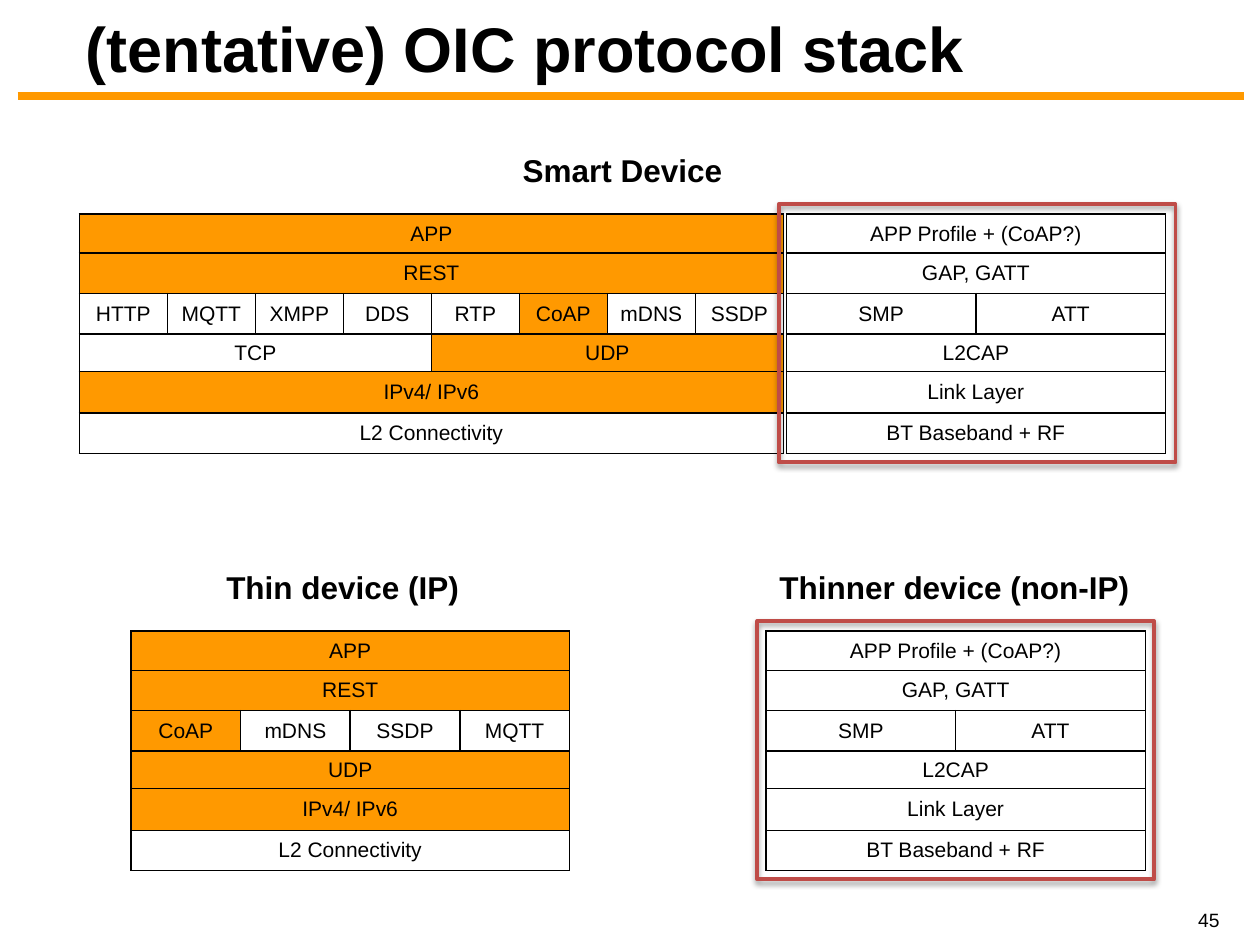
from lxml import etree
from pptx import Presentation
from pptx.dml.color import RGBColor
from pptx.enum.shapes import MSO_CONNECTOR, MSO_SHAPE
from pptx.enum.text import MSO_ANCHOR, MSO_AUTO_SIZE, PP_ALIGN
from pptx.oxml import parse_xml
from pptx.oxml.ns import nsdecls, qn
from pptx.util import Inches, Pt

BLACK = RGBColor(0x00, 0x00, 0x00)
WHITE = RGBColor(0xFF, 0xFF, 0xFF)
ORANGE = RGBColor(0xFF, 0x99, 0x00)
RED = RGBColor(0xBF, 0x4C, 0x48)

ROW_HEIGHTS = (0.31, 0.32, 0.32, 0.3, 0.33, 0.32)
FRAME_SIZE = (3.15, 2.05)

# Each layer is split equally among its protocols.
SMART_LAYERS = (
    ("APP",),
    ("REST",),
    ("HTTP", "MQTT", "XMPP", "DDS", "RTP", "CoAP", "mDNS", "SSDP"),
    ("TCP", "UDP"),
    ("IPv4/ IPv6",),
    ("L2 Connectivity",),
)
THIN_LAYERS = (
    ("APP",),
    ("REST",),
    ("CoAP", "mDNS", "SSDP", "MQTT"),
    ("UDP",),
    ("IPv4/ IPv6",),
    ("L2 Connectivity",),
)
BLUETOOTH_LAYERS = (
    ("APP Profile + (CoAP?)",),
    ("GAP, GATT",),
    ("SMP", "ATT"),
    ("L2CAP",),
    ("Link Layer",),
    ("BT Baseband + RF",),
)
HIGHLIGHTED = {"APP", "REST", "CoAP", "UDP", "IPv4/ IPv6"}


def write(frame, text, size, bold=False, align=PP_ALIGN.CENTER):
    para = frame.paragraphs[0]
    para.alignment = align
    span = para.add_run()
    span.text = text
    span.font.color.rgb = BLACK
    for name, value in {"name": "Arial", "size": Pt(size), "bold": bold}.items():
        setattr(span.font, name, value)


def add_heading(page):
    """Place the title and the rule below it."""
    title = page.shapes.title
    place = {"left": 0.58, "top": 0.03, "width": 9, "height": 0.69}
    for name, value in place.items():
        setattr(title, name, Inches(value))
    title.text_frame.auto_size = MSO_AUTO_SIZE.NONE
    title.text_frame.vertical_anchor = MSO_ANCHOR.MIDDLE
    write(title.text_frame, "(tentative) OIC protocol stack", 36, True, PP_ALIGN.LEFT)

    rule = page.shapes.add_connector(
        MSO_CONNECTOR.STRAIGHT, Inches(0.14), Inches(0.76), Inches(9.87), Inches(0.76))
    rule.line.color.rgb = ORANGE
    rule.line.width = Pt(4.5)
    etree.SubElement(rule._element.spPr, qn("a:effectLst"))


def add_label(page, text, left, top, width, height=0.4, size=18, bold=True):
    box = page.shapes.add_textbox(*map(Inches, (left, top, width, height)))
    box.text_frame.word_wrap = False
    write(box.text_frame, text, size, bold)


def style_cell(cell, fill):
    properties = cell._tc.get_or_add_tcPr()
    for side in ("lnL", "lnR", "lnT", "lnB"):
        properties.append(parse_xml(
            f'<a:{side} {nsdecls("a")} w="{Pt(1)}"><a:solidFill>'
            f'<a:srgbClr val="{BLACK}"/></a:solidFill></a:{side}>'))
    cell.fill.solid()
    cell.fill.fore_color.rgb = fill
    cell.vertical_anchor = MSO_ANCHOR.MIDDLE
    cell.margin_left = cell.margin_right = Inches(0.05)


def add_stack(page, layers, left, top, width):
    columns = max(map(len, layers))
    table = page.shapes.add_table(
        len(layers), columns, Inches(left), Inches(top),
        Inches(width), Inches(sum(ROW_HEIGHTS))).table
    table.first_row = table.horz_banding = False
    for column in table.columns:
        column.width = Inches(width / columns)
    for row, (layer, height) in enumerate(zip(layers, ROW_HEIGHTS)):
        table.rows[row].height = Inches(height)
        reach = columns // len(layer)
        for index, protocol in enumerate(layer):
            first = index * reach
            fill = ORANGE if protocol in HIGHLIGHTED else WHITE
            for column in range(first, first + reach):
                style_cell(table.cell(row, column), fill)
            cell = table.cell(row, first)
            if reach > 1:
                cell.merge(table.cell(row, first + reach - 1))
            write(cell.text_frame, protocol, 12)


def add_frame(page, left, top):
    """Outline a Bluetooth stack with a softly shadowed red box."""
    frame = page.shapes.add_shape(
        MSO_SHAPE.RECTANGLE, *map(Inches, (left, top, *FRAME_SIZE)))
    frame.fill.background()
    frame.line.color.rgb = RED
    frame.line.width = Pt(2.25)
    frame.shadow.inherit = False
    effects = frame._element.spPr.find(qn("a:effectLst"))
    effects.append(parse_xml(
        f'<a:outerShdw {nsdecls("a")} blurRad="{Pt(3.1)}" dist="{Pt(1.6)}" '
        f'dir="5400000" rotWithShape="0"><a:srgbClr val="{BLACK}">'
        '<a:alpha val="38000"/></a:srgbClr></a:outerShdw>'))


def main():
    deck = Presentation()
    deck.slide_width, deck.slide_height = Inches(10), Inches(7.5)
    page = deck.slides.add_slide(deck.slide_layouts[5])

    add_heading(page)
    add_label(page, "45", 9.25, 7.16, 0.69, 0.29, size=11, bold=False)

    add_label(page, "Smart Device", 4.04, 1.15, 1.8)
    add_stack(page, SMART_LAYERS, 0.63, 1.7, 5.59)
    add_label(page, "Thin device (IP)", 1.68, 4.46, 2.08)
    add_stack(page, THIN_LAYERS, 1.04, 5.01, 3.48)
    add_label(page, "Thinner device (non-IP)", 6.05, 4.46, 3.05)
    add_stack(page, BLUETOOTH_LAYERS, 6.08, 5.01, 3.01)
    add_stack(page, BLUETOOTH_LAYERS, 6.24, 1.7, 3.01)

    add_frame(page, 6.18, 1.62)
    add_frame(page, 6.01, 4.93)
    deck.save("out.pptx")


if __name__ == "__main__":
    main()
